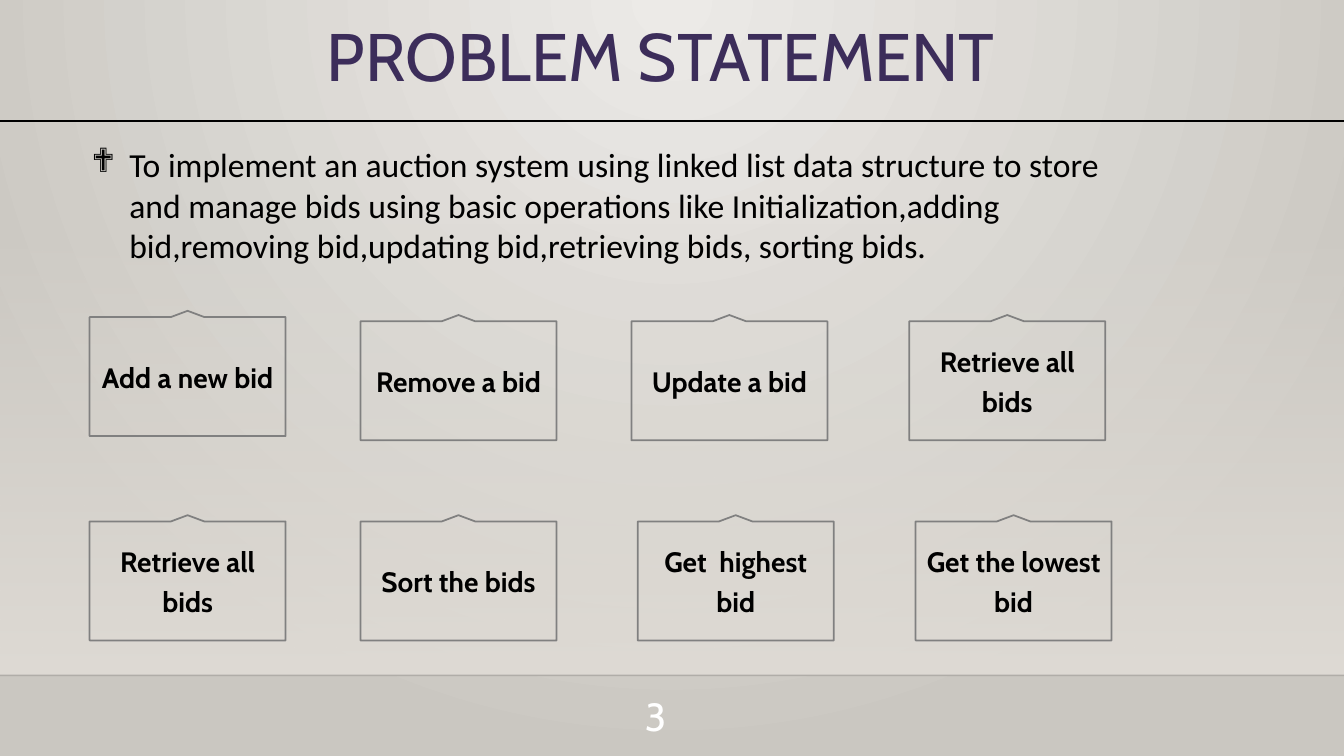
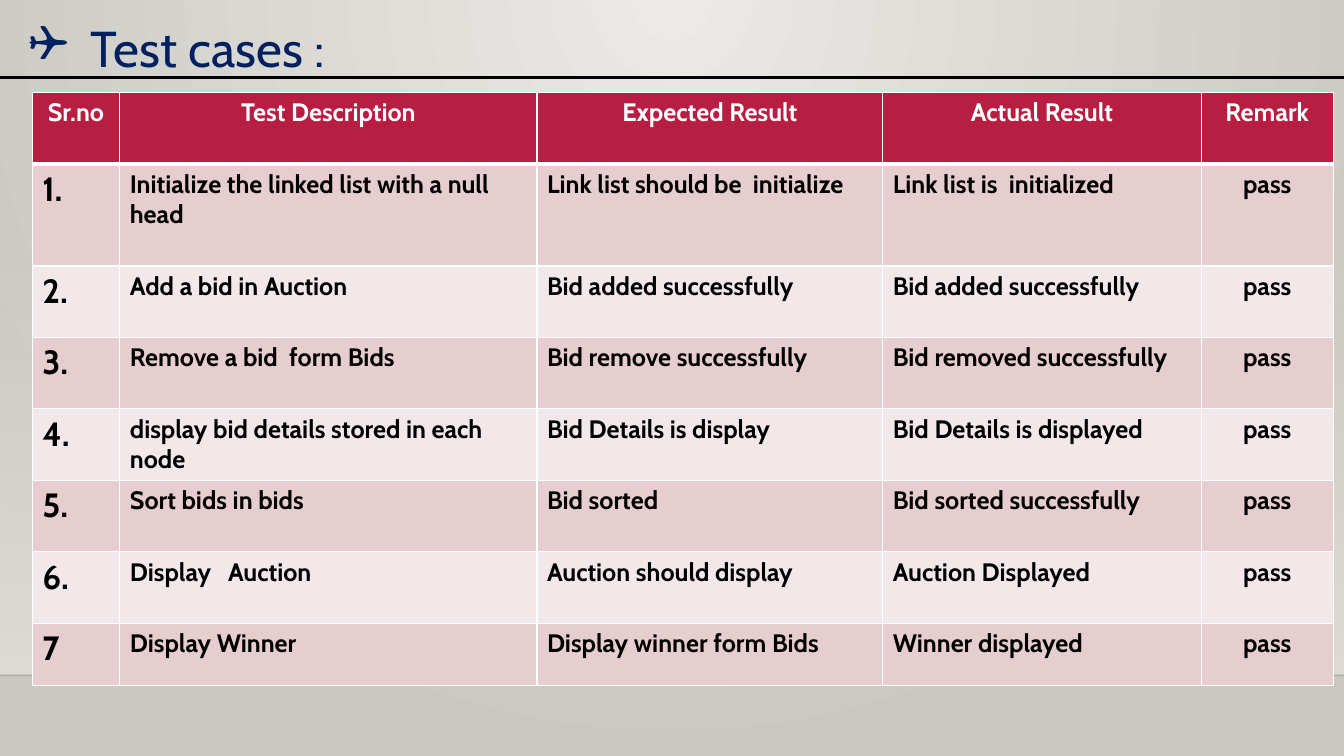
from lxml.etree import SubElement
from pptx import Presentation
from pptx.dml.color import RGBColor
from pptx.enum.shapes import MSO_CONNECTOR as Connector, MSO_SHAPE as Preset
from pptx.enum.text import MSO_ANCHOR as Anchor, MSO_AUTO_SIZE as AutoSize, PP_ALIGN as Align
from pptx.oxml.ns import qn
from pptx.util import Pt

WIDTH, HEIGHT = 960, 540
FLOOR = 482.4
TITLE_ONLY = 5


def colour(value):
    return RGBColor.from_string(value)


def add_alpha(element, percent):
    SubElement(element, qn("a:alpha"), val=str(percent * 1000))


class Deck:
    FONT = "Cabin"
    BODY_FONT = "Calibri"
    BLACK, WHITE, GREY = "000000", "FFFFFF", "808080"
    PURPLE, NAVY, CRIMSON = "3C2D5A", "002060", "B71E42"
    BACKDROP = ("ECEAE7", "CAC7C1")
    GLOW = "DFDBD5"
    ROW_FILLS = ("E6CDCF", "F3E8E9")

    def __init__(self):
        self.presentation = Presentation()
        self.presentation.slide_width = Pt(WIDTH)
        self.presentation.slide_height = Pt(HEIGHT)
        self.slide = None
        self.set_backdrop()

    def set_backdrop(self):
        """Give the master a gradient that spreads from the top centre."""
        master = self.presentation.slide_master
        self.gradient(master.background.fill, self.BACKDROP)
        gradient = master._element.find(".//" + qn("a:gradFill"))
        gradient.remove(gradient.find(qn("a:lin")))
        circle = SubElement(gradient, qn("a:path"))
        circle.set("path", "circle")
        SubElement(circle, qn("a:fillToRect"), l="43000", t="0", r="43000", b="100000")

    def gradient(self, fill, colours):
        fill.gradient()
        fill.gradient_angle = 270
        for position, (stop, value) in enumerate(zip(fill.gradient_stops, colours)):
            stop.position = position
            stop.color.rgb = colour(value)

    def new_slide(self):
        layout = self.presentation.slide_layouts[TITLE_ONLY]
        self.slide = self.presentation.slides.add_slide(layout)
        # Wall that fades in towards the floor line
        wall = self.slide.shapes.add_shape(
            Preset.RECTANGLE, 0, Pt(159), Pt(WIDTH), Pt(FLOOR - 159))
        wall.shadow.inherit = False
        wall.line.fill.background()
        self.gradient(wall.fill, (self.GLOW, self.GLOW))
        add_alpha(wall._element.find(".//" + qn("a:srgbClr")), 0)
        self.rule(FLOOR, 1, alpha=20)

    def rule(self, top, weight=1.75, alpha=100):
        line = self.slide.shapes.add_connector(
            Connector.STRAIGHT, 0, Pt(top), Pt(WIDTH), Pt(top))
        line.line.width = Pt(weight)
        line.line.color.rgb = colour(self.BLACK)
        if alpha < 100:
            add_alpha(line._element.find(".//" + qn("a:srgbClr")), alpha)
        SubElement(line._element.spPr, qn("a:effectLst"))

    def set_text(self, text_frame, text, size, value, font=FONT, bold=False,
                 align=Align.LEFT, spacing=None):
        text_frame.text = text
        text_frame.word_wrap = True
        paragraph = text_frame.paragraphs[0]
        paragraph.alignment = align
        if spacing:
            paragraph.line_spacing = spacing
        for run in paragraph.runs:
            run.font.name = font
            run.font.size = Pt(size)
            run.font.bold = bold
            run.font.color.rgb = colour(value)
        return paragraph

    def bullet(self, paragraph, character, indent):
        properties = paragraph._p.get_or_add_pPr()
        properties.set("marL", str(Pt(indent)))
        properties.set("indent", str(-Pt(indent)))
        SubElement(properties, qn("a:buFont"), typeface="Wingdings")
        SubElement(properties, qn("a:buChar"), char=character)

    def title(self, text, box, size, value, anchor=Anchor.MIDDLE, **style):
        title = self.slide.shapes.title
        title.left, title.top, title.width, title.height = map(Pt, box)
        title.text_frame.auto_size = AutoSize.NONE
        title.text_frame.vertical_anchor = anchor
        return self.set_text(title.text_frame, text, size, value, **style)

    def text(self, text, box, size, value, **style):
        shape = self.slide.shapes.add_textbox(*map(Pt, box))
        return self.set_text(shape.text_frame, text, size, value, **style)

    def callout(self, text, left, top, width=140, height=89.5, peak=4.5, half=12):
        """Draw a box whose top edge rises to a small peak."""
        middle, right = left + width / 2, left + width
        shoulder, bottom = top + peak, top + height
        corners = [(middle + half, shoulder), (right, shoulder), (right, bottom),
                   (left, bottom), (left, shoulder), (middle - half, shoulder)]
        builder = self.slide.shapes.build_freeform(Pt(middle), Pt(top))
        builder.add_line_segments([(Pt(x), Pt(y)) for x, y in corners], close=True)
        shape = builder.convert_to_shape()
        shape.shadow.inherit = False
        shape.fill.background()
        shape.line.color.rgb = colour(self.GREY)
        shape.line.width = Pt(1.25)
        shape.text_frame.vertical_anchor = Anchor.MIDDLE
        paragraph = self.set_text(shape.text_frame, text, 20, self.BLACK, bold=True,
                                  align=Align.CENTER, spacing=1.2)
        paragraph.space_after = Pt(6)

    def borders(self, cell, top, bottom):
        properties = cell._tc.get_or_add_tcPr()
        for side, weight in (("L", 1), ("R", 1), ("T", top), ("B", bottom)):
            line = SubElement(properties, qn("a:ln" + side), w=str(Pt(weight)))
            fill = SubElement(line, qn("a:solidFill"))
            SubElement(fill, qn("a:srgbClr"), val=self.WHITE)

    def table(self, rows, left, top, widths, heights):
        frame = self.slide.shapes.add_table(
            len(rows), len(widths), Pt(left), Pt(top), Pt(sum(widths)), Pt(sum(heights)))
        table = frame.table
        table.horz_banding = False
        for column, width in zip(table.columns, widths):
            column.width = Pt(width)
        for row, height in zip(table.rows, heights):
            row.height = Pt(height)
        last = len(widths) - 1
        for i, texts in enumerate(rows):
            header = i == 0
            for j, text in enumerate(texts):
                cell = table.cell(i, j)
                self.borders(cell, 3 if i == 1 else 1, 3 if header else 1)
                cell.fill.solid()
                cell.fill.fore_color.rgb = colour(
                    self.CRIMSON if header else self.ROW_FILLS[(i - 1) % 2])
                self.set_text(cell.text_frame, text,
                              24 if j == 0 and not header else 18,
                              self.WHITE if header else self.BLACK, bold=True,
                              align=Align.CENTER if header or j == last else Align.LEFT)


def problem_slide(deck):
    deck.new_slide()
    deck.title("PROBLEM STATEMENT", (53, 2, 838, 82), 48, deck.PURPLE,
               align=Align.CENTER, spacing=0.9)
    deck.rule(86.4)

    # Goal
    goal = deck.text(
        "To implement an auction system using linked list data structure to store and "
        "manage bids using basic operations like Initialization,adding bid,removing "
        "bid,updating bid,retrieving bids, sorting bids.",
        (58.3, 99.4, 736.6, 94), 24, deck.BLACK, font=deck.BODY_FONT)
    deck.bullet(goal, "❖", 27)

    # Operations
    operations = [
        ("Add a new bid", 64, 222), ("Remove a bid", 257.5, 225),
        ("Update a bid", 451, 225), ("Retrieve all bids", 649.5, 225),
        ("Retrieve all bids", 64, 368), ("Sort the bids", 257.5, 368),
        ("Get  highest bid", 455.5, 368), ("Get the lowest bid", 654, 368),
    ]
    for text, left, top in operations:
        deck.callout(text, left, top)

    # Slide number
    deck.text("3", (419, 491, 64, 39.6), 28, deck.WHITE, align=Align.RIGHT)


def test_slide(deck):
    deck.new_slide()
    heading = deck.title("Test cases :", (13, 8.6, 263.5, 51), 36, deck.NAVY,
                         anchor=Anchor.TOP)
    deck.bullet(heading, "❑", 44.6)

    # Test results
    header = ("Sr.no", "Test Description", "Expected Result", "Actual Result", "Remark")
    cases = [
        ("1.", "Initialize the linked list with a null head",
         "Link list should be  initialize", "Link list is  initialized"),
        ("2.", "Add a bid in Auction", "Bid added successfully", "Bid added successfully"),
        ("3.", "Remove a bid  form Bids", "Bid remove successfully",
         "Bid removed successfully"),
        ("4.", "display bid details stored in each node", "Bid Details is display",
         "Bid Details is displayed"),
        ("5.", "Sort bids in bids", "Bid sorted", "Bid sorted successfully"),
        ("6.", "Display   Auction", "Auction should display", "Auction Displayed"),
        ("7", "Display Winner", "Display winner form Bids", "Winner displayed"),
    ]
    deck.table([header] + [case + ("pass",) for case in cases], 23, 66,
               widths=(62.6, 298, 247, 227.5, 94.3),
               heights=(51, 73) + (51,) * 5 + (44.6,))
    deck.rule(55.4)


def main():
    deck = Deck()
    problem_slide(deck)
    test_slide(deck)
    deck.presentation.save("out.pptx")


if __name__ == "__main__":
    main()
